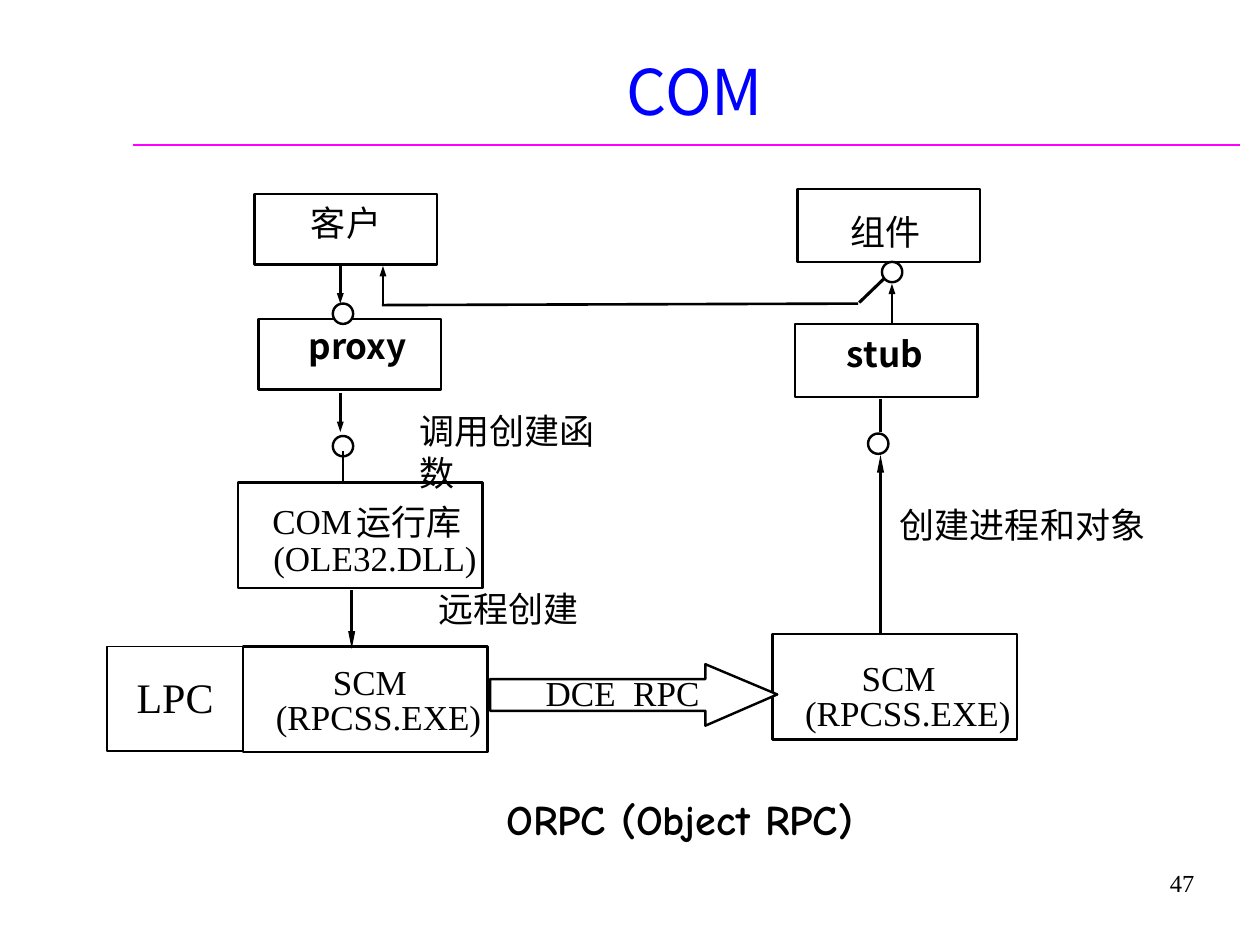
"""Build the slide on remote object creation in COM."""
from lxml import etree
from pptx import Presentation
from pptx.dml.color import RGBColor
from pptx.enum.shapes import MSO_CONNECTOR, MSO_SHAPE
from pptx.enum.text import MSO_ANCHOR, MSO_AUTO_SIZE, PP_ALIGN
from pptx.oxml.ns import qn
from pptx.util import Cm, Pt

BLACK = RGBColor(0, 0, 0)
WHITE = RGBColor(255, 255, 255)
BLUE = RGBColor(0, 0, 255)
MAGENTA = RGBColor(255, 0, 255)
LEFT, CENTER, RIGHT = PP_ALIGN.LEFT, PP_ALIGN.CENTER, PP_ALIGN.RIGHT
TOP, MIDDLE, BOTTOM = MSO_ANCHOR.TOP, MSO_ANCHOR.MIDDLE, MSO_ANCHOR.BOTTOM
GROW = MSO_AUTO_SIZE.SHAPE_TO_FIT_TEXT
RECTANGLE, OVAL = MSO_SHAPE.RECTANGLE, MSO_SHAPE.OVAL
STRAIGHT = MSO_CONNECTOR.STRAIGHT
SERIF, SANS, COMIC = "Times New Roman", "Noto Sans CJK SC", "Comic Neue"
OUTLINE = Pt(1.39)


def write(frame, text, font, size=20, bold=False, colour=BLACK, align=LEFT,
          anchor=TOP, inset=(0, 0), wrap=False):
    frame.word_wrap = wrap
    frame.vertical_anchor = anchor
    frame.margin_left = frame.margin_right = Cm(inset[0])
    frame.margin_top = frame.margin_bottom = Cm(inset[1])
    paragraph = frame.paragraphs[0]
    paragraph.alignment = align
    run = paragraph.add_run()
    run.text = text
    run.font.name = font
    run.font.size = Pt(size)
    run.font.bold = bold
    run.font.color.rgb = colour
    etree.SubElement(run.font._element, qn("a:ea"), typeface=font)
    return paragraph


def draw_line(x1, y1, x2, y2, weight, head_length=None, colour=BLACK):
    line = slide.shapes.add_connector(STRAIGHT, Cm(x1), Cm(y1), Cm(x2), Cm(y2))
    line.line.color.rgb = colour
    line.line.width = Pt(weight)
    if head_length:
        etree.SubElement(line.line._get_or_add_ln(), qn("a:tailEnd"),
                         type="triangle", w="sm", len=head_length)
    etree.SubElement(line._element.spPr, qn("a:effectLst"))


prs = Presentation()
prs.slide_width, prs.slide_height = Cm(25.4), Cm(19.05)
slide = prs.slides.add_slide(prs.slide_layouts[6])

draw_line(2.69, 2.92, 24.99, 2.92, 1.5, colour=MAGENTA)

title = slide.shapes.add_textbox(Cm(3.1), Cm(0.33), Cm(21.82), Cm(2.39))
write(title.text_frame, "COM", SANS, 36, colour=BLUE, align=CENTER,
      anchor=BOTTOM, inset=(0.25, 0.13), wrap=True)

caption = slide.shapes.add_textbox(Cm(8.69), Cm(15.67), Cm(9.96), Cm(1.47))
caption_line = write(caption.text_frame, "ORPC (Object RPC)", COMIC, 24, bold=True,
                     inset=(0.25, 0.13), wrap=True)
caption_line.line_spacing = 1.2
caption_format = caption_line._p.get_or_add_pPr()
caption_format.set("marL", str(Cm(2.06)))
caption_format.set("indent", str(Cm(-0.79)))

page_number = slide.shapes.add_textbox(Cm(19.05), Cm(17.15), Cm(5.28), Cm(1.27))
write(page_number.text_frame, "47", SERIF, 14, align=RIGHT, anchor=MIDDLE,
      inset=(0.25, 0.13))

components = [
    (RECTANGLE, 5.13, 3.91, 3.68, 1.42),
    (RECTANGLE, 5.21, 6.43, 3.68, 1.42),
    (RECTANGLE, 16.08, 3.81, 3.68, 1.47),
    (RECTANGLE, 16.03, 6.53, 3.68, 1.47),
    (RECTANGLE, 4.8, 9.73, 4.93, 2.13),
    (RECTANGLE, 4.9, 13.03, 4.93, 2.13),
    (RECTANGLE, 15.57, 12.78, 4.93, 2.13),
]
interfaces = [(OVAL, x, y, 0.41, 0.41) for x, y in
              [(6.71, 6.12), (6.71, 8.79), (17.78, 5.28), (17.5, 8.74)]]
for kind, x, y, width, height in components + interfaces:
    part = slide.shapes.add_shape(kind, Cm(x), Cm(y), Cm(width), Cm(height))
    part.shadow.inherit = False
    part.fill.solid()
    part.fill.fore_color.rgb = WHITE
    part.line.color.rgb = BLACK
    part.line.width = OUTLINE

rpc_outline = slide.shapes.build_freeform(Cm(14.22), Cm(13.39))
rpc_outline.add_line_segments(
    [(Cm(x), Cm(y)) for x, y in [(14.22, 13.69), (9.88, 13.69), (9.88, 14.33),
                                 (14.22, 14.33), (14.22, 14.63), (15.67, 14)]],
    close=True)
rpc_arrow = rpc_outline.convert_to_shape()
rpc_arrow.shadow.inherit = False
rpc_arrow.fill.solid()
rpc_arrow.fill.fore_color.rgb = WHITE
rpc_arrow.line.color.rgb = BLACK
rpc_arrow.line.width = OUTLINE

lpc = slide.shapes.add_shape(RECTANGLE, Cm(2.16), Cm(13.03), Cm(2.74), Cm(2.11))
lpc.shadow.inherit = False
lpc.fill.background()
lpc.line.color.rgb = BLACK
lpc.line.width = Pt(0.75)
write(lpc.text_frame, "LPC", SERIF, 24, align=CENTER, inset=(0.25, 0.5), wrap=True)

for x1, y1, x2, y2, weight, head_length in [
    (6.86, 5.33, 6.86, 6.12, 1.5, "med"),
    (6.86, 7.92, 6.86, 8.71, 1.5, "med"),
    (6.91, 9.75, 6.91, 9.09, 1.39, None),
    (7.09, 11.89, 7.09, 13.08, 2, "lg"),
    (17.75, 12.78, 17.75, 9.17, 2, "lg"),
    (17.75, 8.71, 17.75, 8.05, 1.39, None),
    (17.98, 6.55, 17.98, 5.72, 1.5, "med"),
    (17.83, 5.61, 17.32, 6.1, 1.75, None),
    (17.3, 6.12, 7.7, 6.15, 1.5, None),
    (7.72, 6.17, 7.72, 5.36, 1.5, "med"),
]:
    draw_line(x1, y1, x2, y2, weight, head_length)

for text, x, y, width, font, bold in [
    ("客户", 6.27, 4.06, 1.5, SANS, False),
    ("proxy", 6.22, 6.55, 2.1, SANS, True),
    ("组件", 17.15, 4.24, 1.5, SANS, False),
    ("stub", 17.07, 6.71, 2.18, SANS, True),
    ("COM", 5.49, 10.06, 1.7, SERIF, False),
    ("运行库", 7.19, 10.08, 2.2, SANS, False),
    ("(OLE32.DLL)", 5.51, 10.82, 4.2, SERIF, False),
    ("SCM", 6.71, 13.31, 1.6, SERIF, False),
    ("(RPCSS.EXE)", 5.56, 14.02, 4.25, SERIF, False),
    ("DCE  RPC", 11, 13.54, 3.2, SERIF, False),
    ("SCM", 17.37, 13.23, 1.6, SERIF, False),
    ("(RPCSS.EXE)", 16.23, 13.94, 4.25, SERIF, False),
    ("远程创建", 8.84, 11.84, 2.9, SANS, False),
    ("创建进程和对象", 18.14, 10.16, 5.05, SANS, False),
]:
    label = slide.shapes.add_textbox(Cm(x), Cm(y), Cm(width), Cm(0.84))
    write(label.text_frame, text, font, bold=bold)
    label.text_frame.auto_size = GROW

creation_call = slide.shapes.add_textbox(Cm(8.46), Cm(8.26), Cm(4.24), Cm(1.7))
write(creation_call.text_frame, "调用创建函数", SANS, wrap=True)

prs.save("out.pptx")
